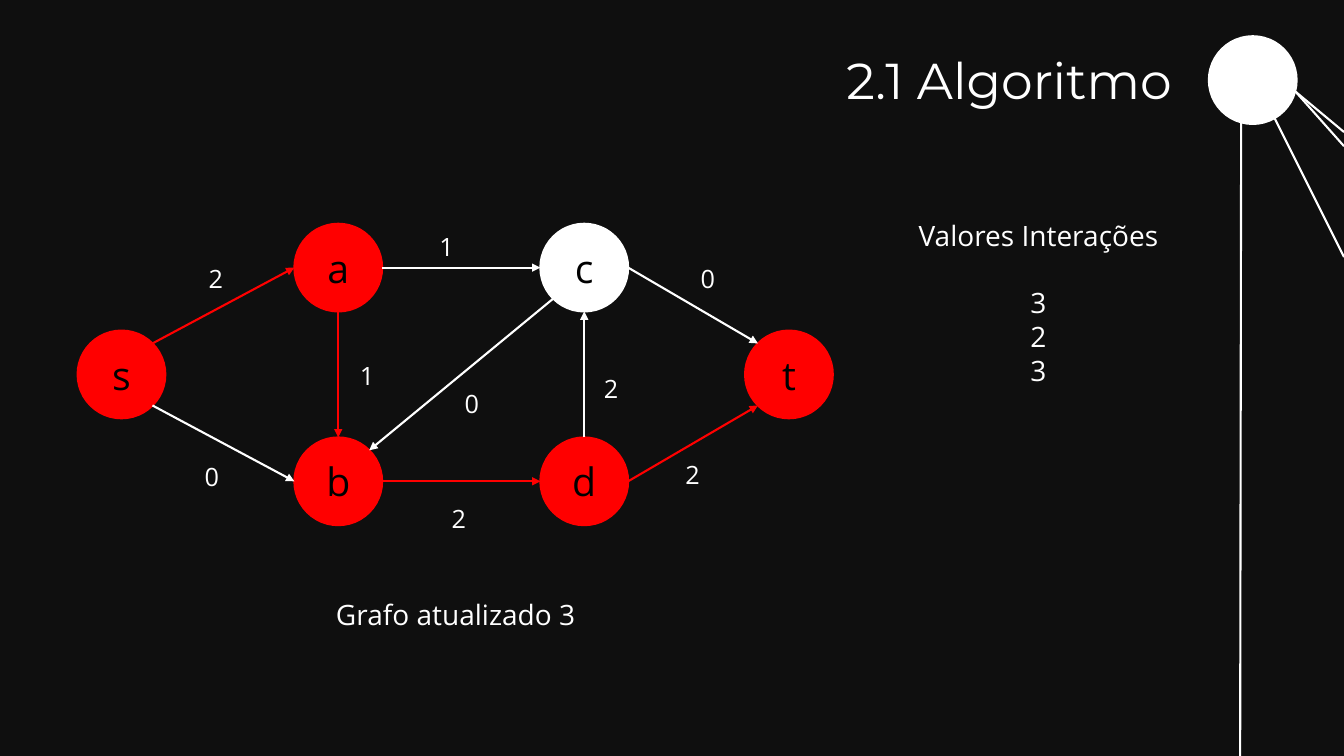
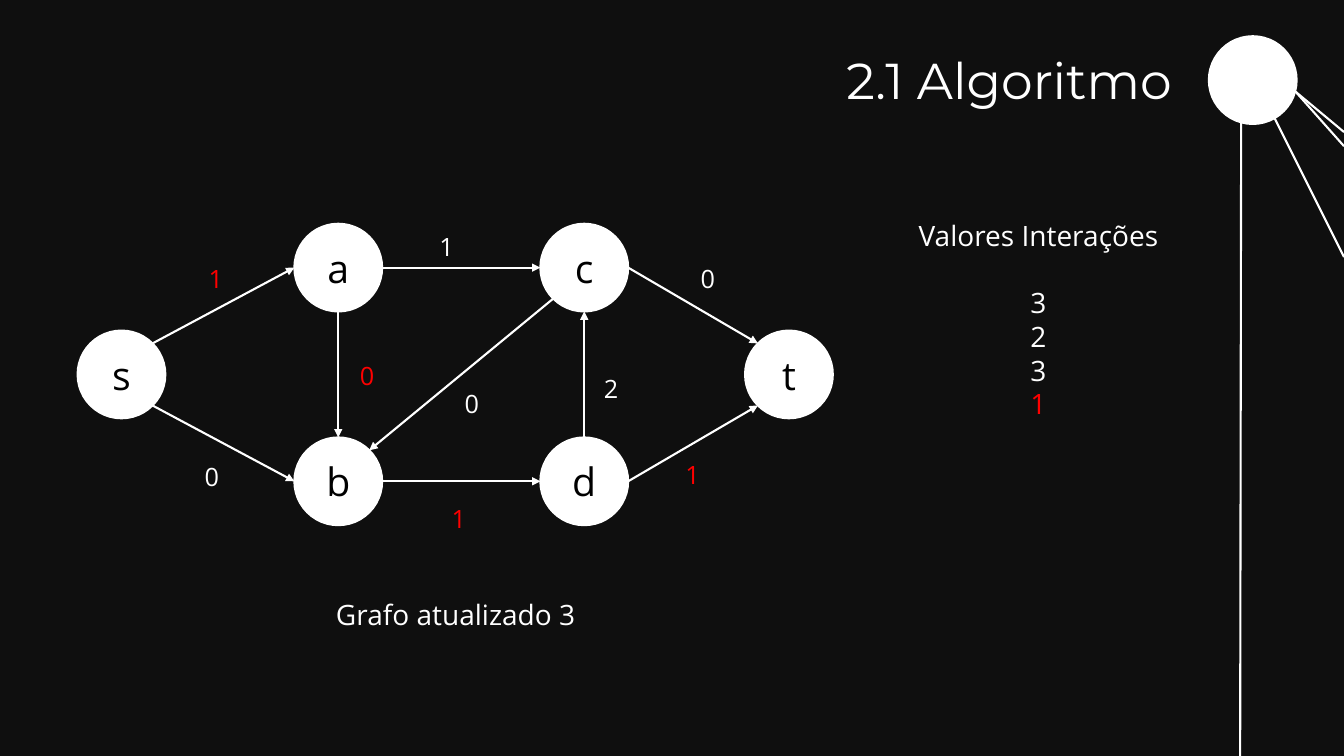
from dataclasses import dataclass
from math import cos, radians, sin

from lxml.etree import SubElement
from pptx import Presentation
from pptx.dml.color import RGBColor
from pptx.enum.shapes import MSO_CONNECTOR, MSO_SHAPE
from pptx.enum.text import MSO_ANCHOR, MSO_AUTO_SIZE, PP_ALIGN
from pptx.oxml.ns import qn
from pptx.util import Inches, Pt


@dataclass(frozen=True)
class Theme:
    background: RGBColor = RGBColor(0x0F, 0x0F, 0x0F)
    light: RGBColor = RGBColor(0xFF, 0xFF, 0xFF)
    dark: RGBColor = RGBColor(0x00, 0x00, 0x00)
    accent: RGBColor = RGBColor(0xFF, 0x00, 0x00)
    title_font: str = "Montserrat"
    body_font: str = "Open Sans"
    title_size: int = 36
    node_size: int = 28
    body_size: int = 20
    label_size: int = 18
    line_width: float = 1.5


T = Theme()
WIDTH, HEIGHT = 13.33, 7.5
NODE = 0.87  # diameter of every circle

# Top-left corner of each node, relative to the graph box
ROWS = (0, 1.06, 2.12)
NODES = {
    "s": (0, ROWS[1]),
    "a": (2.15, ROWS[0]),
    "b": (2.15, ROWS[2]),
    "d": (4.59, ROWS[2]),
    "c": (4.59, ROWS[0]),
    "t": (6.62, ROWS[1]),
}

# Direction of each point on a circle, in degrees clockwise from the right
SIDES = {"right": 0, "lower right": 45, "bottom": 90, "lower left": 135,
         "left": 180, "upper left": 225, "top": 270, "upper right": 315}

# Edge: side it leaves, side it reaches, label position in the graph box
EDGES = {
    "sa": ("upper right", "left", (1.2, 0.34)),
    "ac": ("right", "left", (3.49, 0.03)),
    "ab": ("bottom", "top", (2.7, 1.31)),
    "sb": ("lower right", "left", (1.16, 2.31)),
    "cb": ("lower left", "upper right", (3.74, 1.58)),
    "bd": ("right", "left", (3.61, 2.72)),
    "dc": ("top", "bottom", (5.12, 1.43)),
    "ct": ("right", "upper left", (6.08, 0.34)),
    "dt": ("right", "lower left", (5.93, 2.29)),
}
FLOW_PATH = ("sa", "ab", "bd", "dt")
CAPACITIES = {"sa": 2, "ac": 1, "ab": 1, "sb": 0, "cb": 0,
              "bd": 2, "dc": 2, "ct": 0, "dt": 2}


def write(p, text, size=T.body_size, font=T.body_font, color=T.light,
          align=PP_ALIGN.LEFT, after=0):
    p.alignment = align
    p.space_after = Pt(after)
    r = p.add_run()
    r.text = text
    r.font.size = Pt(size)
    r.font.name = font
    r.font.color.rgb = color


def add_text(s, text, left, top, width, height, **fmt):
    box = s.shapes.add_textbox(Inches(left), Inches(top), Inches(width), Inches(height))
    tf = box.text_frame
    tf.word_wrap = True
    tf.auto_size = MSO_AUTO_SIZE.SHAPE_TO_FIT_TEXT
    write(tf.paragraphs[0], text, **fmt)
    return tf


def add_circle(shapes, left, top, color):
    sp = shapes.add_shape(MSO_SHAPE.OVAL, Inches(left), Inches(top),
                          Inches(NODE), Inches(NODE))
    sp.shadow.inherit = False
    sp.fill.solid()
    sp.fill.fore_color.rgb = color
    sp.line.color.rgb = color
    sp.line.width = Pt(T.line_width)
    return sp


def add_line(shapes, start, end, color=T.light, arrow=False):
    line = shapes.add_connector(MSO_CONNECTOR.STRAIGHT,
                                *(Inches(v) for v in (*start, *end)))
    line.line.color.rgb = color
    line.line.width = Pt(T.line_width)
    if arrow:
        SubElement(line.line._get_or_add_ln(), qn("a:tailEnd"), type="triangle")
    SubElement(line._element.spPr, qn("a:effectLst"))


def rim_point(node, side, left, top):
    x, y = NODES[node]
    angle, radius = radians(SIDES[side]), NODE / 2
    return (left + x + radius * (1 + cos(angle)),
            top + y + radius * (1 + sin(angle)))


def add_ornament(s, left, top):
    """Circle in the corner with lines running to the slide's edges."""
    shapes = s.shapes.add_group_shape().shapes
    add_circle(shapes, left, top, T.light)
    for dx, dy, end in ((0.32, 0.85, (12.3, HEIGHT)),
                        (0.65, 0.81, (WIDTH, 2.55)),
                        (0.86, 0.55, (WIDTH, 1.45)),
                        (0.86, 0.55, (WIDTH, 1.31))):
        add_line(shapes, (left + dx, top + dy), end)


def add_graph(s, left, top, labels, red_edges=(), red_labels=()):
    red_nodes = set("".join(red_edges))

    # Nodes
    for name, (x, y) in NODES.items():
        sp = add_circle(s.shapes, left + x, top + y,
                        T.accent if name in red_nodes else T.light)
        tf = sp.text_frame
        tf.word_wrap = False
        tf.vertical_anchor = MSO_ANCHOR.MIDDLE
        write(tf.paragraphs[0], name, size=T.node_size, color=T.dark,
              align=PP_ALIGN.CENTER)

    # Edges
    for edge, (leaves, reaches, _) in EDGES.items():
        add_line(s.shapes, rim_point(edge[0], leaves, left, top),
                 rim_point(edge[1], reaches, left, top),
                 color=T.accent if edge in red_edges else T.light, arrow=True)

    # Capacities
    for edge, (_, _, (x, y)) in EDGES.items():
        add_text(s, str(labels[edge]), left + x, top + y, 0.49, 0.4,
                 size=T.label_size,
                 color=T.accent if edge in red_labels else T.light)

    # Caption
    add_text(s, "Grafo atualizado 3", left + 2.15, top + 3.66, 3.2, 0.44,
             align=PP_ALIGN.CENTER)


def add_values(s, left, top, values, red_last=False):
    height = 0.78 + len(values) / 3
    tf = add_text(s, "Valores Interações", left, top, 3.2, height,
                  align=PP_ALIGN.CENTER, after=24)
    for i, value in enumerate(values, 1):
        red = red_last and i == len(values)
        write(tf.add_paragraph(), str(value), align=PP_ALIGN.CENTER,
              color=T.accent if red else T.light)


def add_algorithm_slide(prs, values, labels, red_edges=(), red_labels=()):
    s = prs.slides.add_slide(prs.slide_layouts[6])
    s.background.fill.solid()
    s.background.fill.fore_color.rgb = T.background
    add_ornament(s, 11.99, 0.36)
    add_text(s, "2.1 Algoritmo", 7.98, 0.44, 3.74, 0.71, size=T.title_size,
             font=T.title_font, align=PP_ALIGN.RIGHT)
    add_graph(s, 0.77, 2.22, labels, red_edges, red_labels)
    add_values(s, 8.7, 2.12, values, red_last=bool(red_labels))


def main():
    prs = Presentation()
    prs.slide_width, prs.slide_height = Inches(WIDTH), Inches(HEIGHT)

    # Path chosen, then capacities reduced by its flow
    flow = 1
    reduced = {e: c - flow if e in FLOW_PATH else c for e, c in CAPACITIES.items()}
    add_algorithm_slide(prs, [3, 2, 3], CAPACITIES, red_edges=FLOW_PATH)
    add_algorithm_slide(prs, [3, 2, 3, flow], reduced, red_labels=FLOW_PATH)
    prs.save("out.pptx")


if __name__ == "__main__":
    main()
